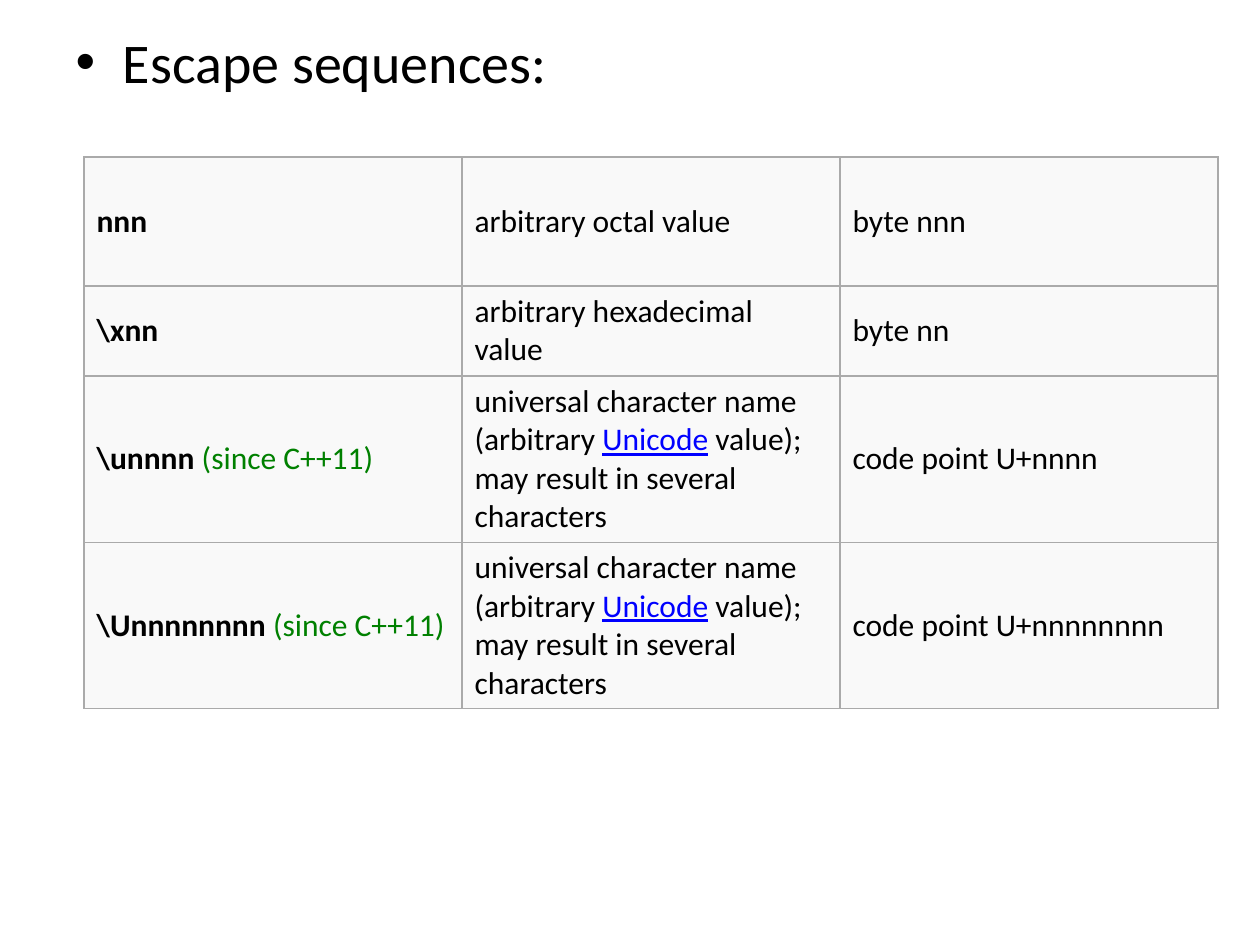
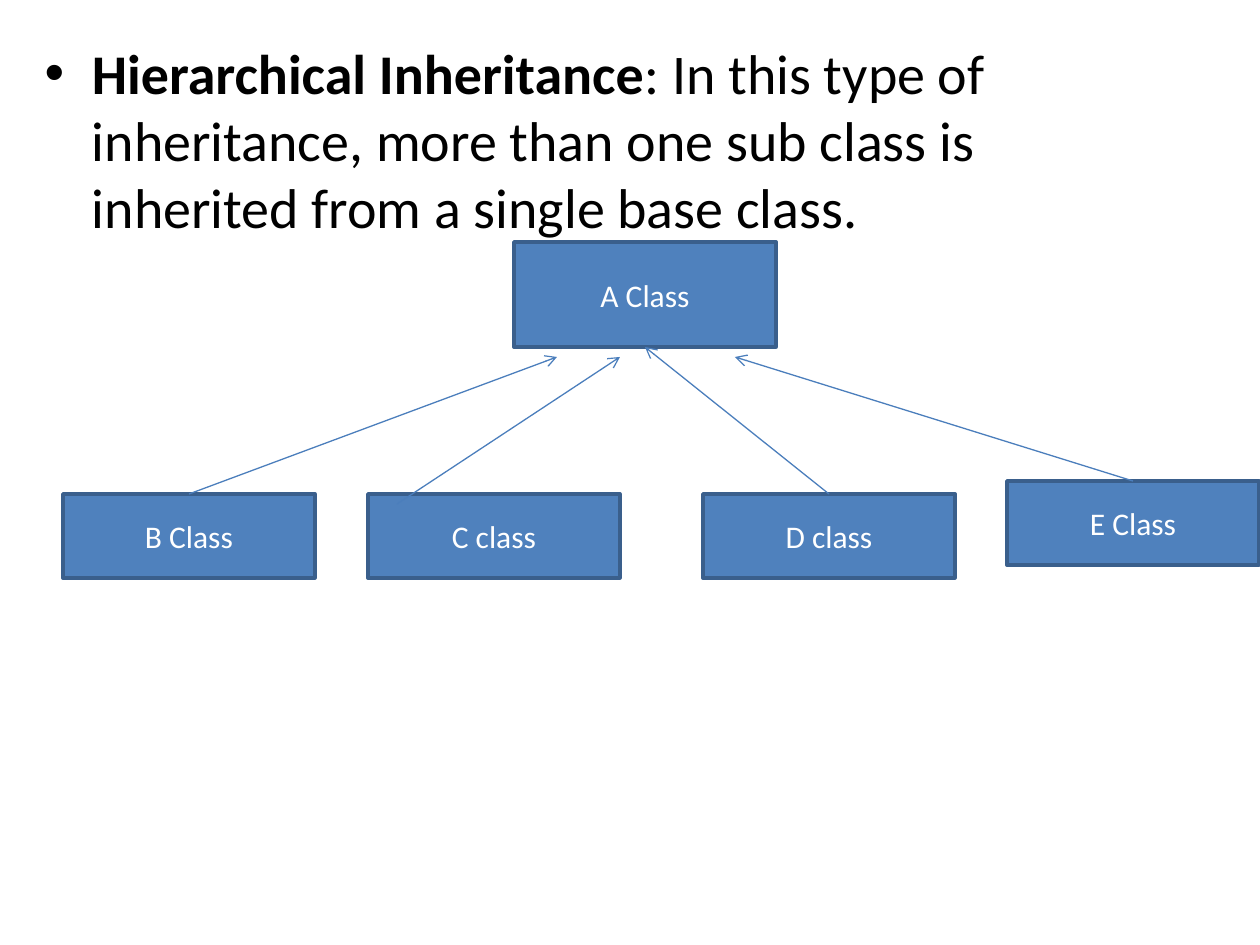
import dataclasses
import typing

import lxml.etree
import pptx
import pptx.dml.color
import pptx.enum.shapes
import pptx.enum.text
import pptx.oxml
import pptx.oxml.ns
import pptx.slide
import pptx.text.text
import pptx.util

RGB = pptx.dml.color.RGBColor
BLACK = RGB(0x00, 0x00, 0x00)
WHITE = RGB(0xFF, 0xFF, 0xFF)
GREEN = RGB(0x00, 0x80, 0x00)
LINK_BLUE = RGB(0x00, 0x00, 0xFF)
CELL_FILL = RGB(0xF9, 0xF9, 0xF9)
CELL_BORDER = RGB(0xAA, 0xAA, 0xAA)
BOX_FILL = RGB(0x4F, 0x81, 0xBD)
BOX_LINE = RGB(0x3A, 0x5F, 0x8C)
ARROW = RGB(0x4B, 0x7E, 0xBC)

FONT = "Calibri"
BODY_SIZE = 32
SMALL_SIZE = 18
EMU_PER_PX = 914400 / 126
MIDDLE = pptx.enum.text.MSO_ANCHOR.MIDDLE


@dataclasses.dataclass
class Span:
    text: str
    bold: bool = False
    color: RGB = BLACK
    underline: bool = False


@dataclasses.dataclass
class Box:
    text: str
    left: int
    top: int
    width: int = 252
    height: int = 84


@dataclasses.dataclass
class Arrow:
    x1: int
    y1: int
    x2: int
    y2: int


def px(n: float) -> pptx.util.Emu:
    return pptx.util.Emu(round(n * EMU_PER_PX))


def add_text(p: pptx.text.text._Paragraph, text: str, *, size: int = SMALL_SIZE,
             color: RGB = BLACK, bold: bool = False, underline: bool = False) -> None:
    for i, line in enumerate(text.split("\n")):
        if i:
            p.add_line_break()
        r = p.add_run()
        r.text = line
        r.font.name = FONT
        r.font.size = pptx.util.Pt(size)
        r.font.color.rgb = color
        r.font.bold = bold
        r.font.underline = underline


def add_spans(p: pptx.text.text._Paragraph, spans: typing.Sequence[Span], size: int) -> None:
    for span in spans:
        add_text(p, span.text, size=size, color=span.color, bold=span.bold,
                 underline=span.underline)


def add_bullet_slide(prs: typing.Any, spans: typing.Sequence[Span], left: int, top: int,
                     width: int, height: int) -> pptx.slide.Slide:
    s = prs.slides.add_slide(prs.slide_layouts[1])
    title = s.shapes.title._element
    title.getparent().remove(title)
    body = s.placeholders[1]
    body.left, body.top, body.width, body.height = map(px, (left, top, width, height))
    add_spans(body.text_frame.paragraphs[0], spans, BODY_SIZE)
    return s


def set_borders(cell: typing.Any) -> None:
    tc_pr = cell._tc.get_or_add_tcPr()
    for i, side in enumerate(("lnL", "lnR", "lnT", "lnB")):
        tc_pr.insert(i, pptx.oxml.parse_xml(
            f'<a:{side} {pptx.oxml.ns.nsdecls("a")} w="{pptx.util.Pt(0.75)}">'
            f'<a:solidFill><a:srgbClr val="{CELL_BORDER}"/></a:solidFill></a:{side}>'))


def add_grid(s: pptx.slide.Slide, rows: typing.Sequence[typing.Sequence[typing.Sequence[Span]]],
             left: int, top: int, col_width: int, heights: typing.Sequence[int]) -> None:
    cols = len(rows[0])
    table = s.shapes.add_table(len(rows), cols, px(left), px(top),
                               px(col_width * cols), px(sum(heights))).table
    table.first_row = False
    table.horz_banding = False
    for col in table.columns:
        col.width = px(col_width)
    for row, height in zip(table.rows, heights):
        row.height = px(height)
    for i, row in enumerate(rows):
        for j, spans in enumerate(row):
            cell = table.cell(i, j)
            cell.vertical_anchor = MIDDLE
            cell.fill.solid()
            cell.fill.fore_color.rgb = CELL_FILL
            set_borders(cell)
            add_spans(cell.text_frame.paragraphs[0], spans, SMALL_SIZE)


def add_box(s: pptx.slide.Slide, box: Box) -> None:
    sp = s.shapes.add_shape(pptx.enum.shapes.MSO_SHAPE.RECTANGLE, px(box.left), px(box.top),
                            px(box.width), px(box.height))
    sp.shadow.inherit = False
    sp.fill.solid()
    sp.fill.fore_color.rgb = BOX_FILL
    sp.line.color.rgb = BOX_LINE
    sp.line.width = pptx.util.Pt(2)
    tf = sp.text_frame
    tf.word_wrap = True
    tf.vertical_anchor = MIDDLE
    p = tf.paragraphs[0]
    p.alignment = pptx.enum.text.PP_ALIGN.CENTER
    add_text(p, box.text, color=WHITE)


def add_arrow(s: pptx.slide.Slide, arrow: Arrow) -> None:
    cx = s.shapes.add_connector(pptx.enum.shapes.MSO_CONNECTOR.STRAIGHT, px(arrow.x1),
                                px(arrow.y1), px(arrow.x2), px(arrow.y2))
    cx.line.color.rgb = ARROW
    cx.line.width = pptx.util.Pt(0.75)
    qn = pptx.oxml.ns.qn
    lxml.etree.SubElement(cx.line._get_or_add_ln(), qn("a:tailEnd"), type="arrow")
    lxml.etree.SubElement(cx._element.spPr, qn("a:effectLst"))


def build_escape_sequences(prs: typing.Any) -> None:
    s = add_bullet_slide(prs, [Span("Escape sequences:")], 63, 21, 1134, 823)
    since = Span("(since C++11)", color=GREEN)
    universal = [
        Span("universal character name\n(arbitrary\u00a0"),
        Span("Unicode", color=LINK_BLUE, underline=True),
        Span("\u00a0value);\nmay result in several characters"),
    ]
    rows = [
        [[Span("nnn", bold=True)], [Span("arbitrary octal value")], [Span("byte\u00a0nnn")]],
        [[Span("\\xnn", bold=True)], [Span("arbitrary hexadecimal value")],
         [Span("byte\u00a0nn")]],
    ]
    for name, digits in (("\\u", "nnnn"), ("\\U", "nnnnnnnn")):
        rows.append([[Span(f"{name}{digits}\u00a0", bold=True), since], universal,
                     [Span(f"code point\u00a0U+{digits}")]])
    add_grid(s, rows, 84, 157, 378, [129, 90, 166, 166])


def build_inheritance(prs: typing.Any) -> None:
    s = add_bullet_slide(prs, [
        Span("Hierarchical Inheritance", bold=True),
        Span(": In this type of inheritance, more than one sub class is inherited "
             "from a single base class."),
    ], 32, 32, 1165, 872)
    boxes = [
        Box("A Class", 514, 242, 262, 105),
        Box("B Class", 63, 494),
        Box("C class", 368, 494),
        Box("D class", 703, 494),
        Box("E Class", 1007, 481),
    ]
    arrows = [
        Arrow(189, 494, 557, 357),
        Arrow(397, 504, 620, 357),
        Arrow(1133, 481, 735, 357),
        Arrow(829, 494, 645, 347),
    ]
    for box in boxes:
        add_box(s, box)
    for arrow in arrows:
        add_arrow(s, arrow)


prs = pptx.Presentation()
prs.slide_width, prs.slide_height = px(1260), px(945)
build_escape_sequences(prs)
build_inheritance(prs)
prs.save("out.pptx")
